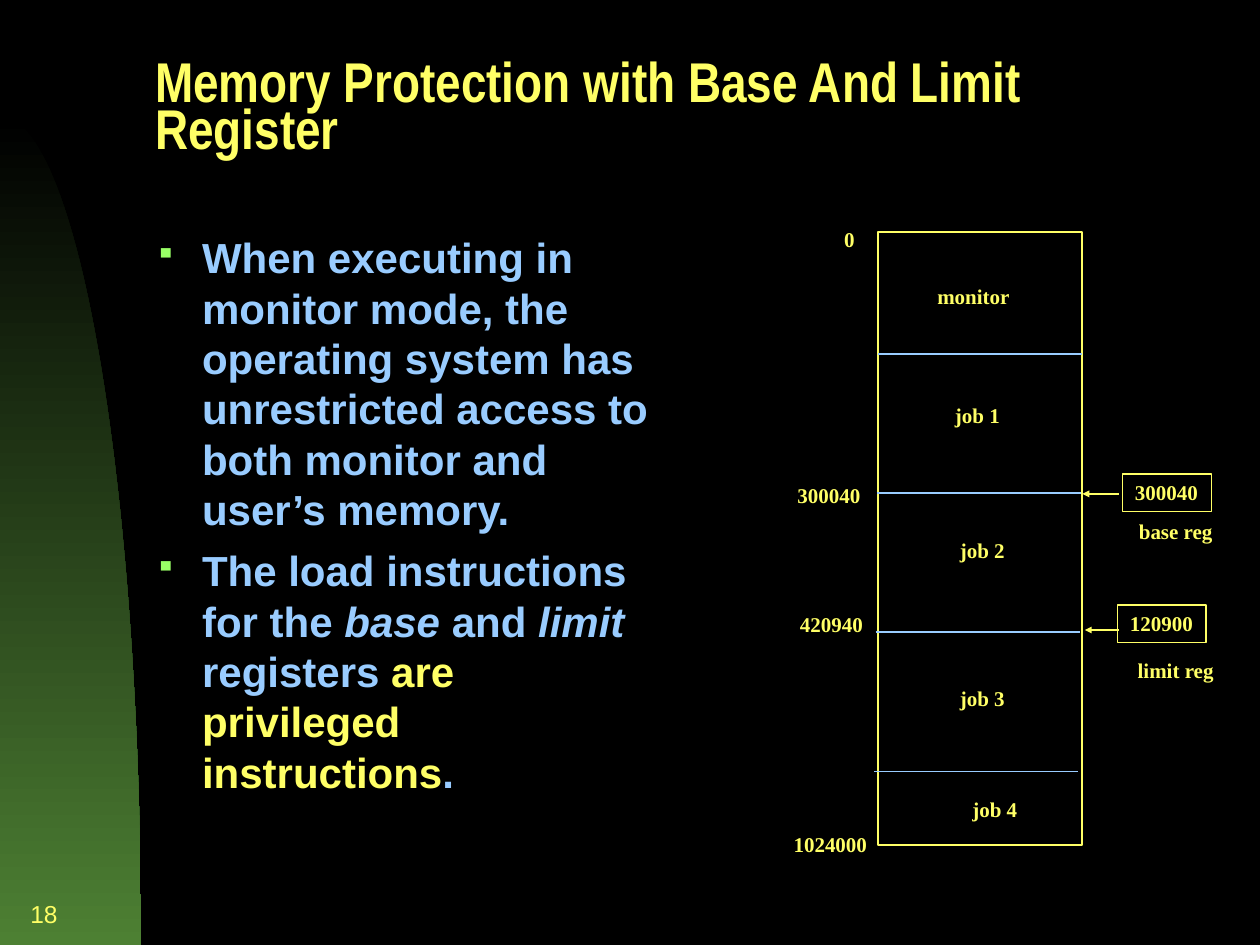
"""Build the slide on memory protection with base and limit registers."""
from dataclasses import dataclass
from math import cos, pi, sin

from lxml.etree import SubElement
from pptx import Presentation
from pptx.dml.color import RGBColor
from pptx.enum.shapes import MSO_CONNECTOR, MSO_SHAPE
from pptx.enum.text import MSO_ANCHOR, MSO_AUTO_SIZE, PP_ALIGN
from pptx.oxml.ns import qn
from pptx.util import Pt


@dataclass(frozen=True)
class Theme:
    """Colours, typefaces and type sizes of the slide."""
    background: str = "000000"
    yellow: str = "FFFF66"
    blue: str = "99CCFF"
    bullet: str = "99FF66"
    sweep_end: str = "4D8033"
    title_face: str = "Arial Narrow"
    body_face: str = "Arial"
    label_face: str = "Times New Roman"
    title_size: int = 32
    body_size: int = 24
    number_size: int = 14
    label_size: int = 12
    line_width: int = 1


THEME = Theme()
LABEL_HEIGHT = 21.6
MEMORY_LEFT, MEMORY_TOP, MEMORY_WIDTH, MEMORY_HEIGHT = 501.8, 132.5, 116.6, 350.6
FIRST_DIVIDER, DIVIDER_STEP, DIVIDER_SHIFT = 202.3, 79.5, -0.72
LABELS = [
    ("monitor", 528.5, 158.4, 62),
    ("job 1", 538.6, 226.4, 46),
    ("job 2", 541.4, 303.8, 46),
    ("job 3", 541.4, 388.1, 46),
    ("job 4", 548.6, 451.4, 46),
    ("0", 475.2, 126, 24),
    ("300040", 448.6, 272.2, 54),
    ("420940", 450, 345.9, 54),
    ("1024000", 446.4, 471.6, 60),
    ("base reg", 643.7, 292.6, 62),
    ("limit reg", 643, 372.2, 62),
]
REGISTERS = [("300040", 641.5, 270.7), ("120900", 638.6, 345.6)]
POINTERS = [(639.4, 618.5, 282.2), (639.4, 619.9, 360)]
BULLETS = [
    [("When executing in monitor mode, the operating system has unrestricted "
      "access to both monitor and user’s memory.", THEME.blue, False)],
    [("The load instructions for the ", THEME.blue, False),
     ("base", THEME.blue, True),
     (" and ", THEME.blue, False),
     ("limit", THEME.blue, True),
     (" registers ", THEME.blue, False),
     ("are privileged instructions", THEME.yellow, False),
     (".", THEME.blue, False)],
]


def rgb(code):
    """Return the colour for a hex code."""
    return RGBColor.from_string(code)


def set_font(paragraph, face, size, color, bold=True):
    """Format all the text of a paragraph."""
    font = paragraph.font
    font.name, font.size, font.bold = face, Pt(size), bold
    font.color.rgb = rgb(color)


def set_line(line, color):
    """Give an outline or connector its colour and width."""
    line.color.rgb = rgb(color)
    line.width = Pt(THEME.line_width)


def add_sweep(slide):
    """Draw the shaded quarter ellipse at the left edge."""
    width, top, bottom, steps = 80.6, 66.2, 540, 60
    angles = [pi / 2 * step / steps for step in range(steps + 1)]
    curve = [(Pt(width * sin(a)), Pt(bottom - (bottom - top) * cos(a))) for a in angles]
    builder = slide.shapes.build_freeform(*curve[0])
    builder.add_line_segments(curve[1:] + [(0, Pt(bottom))], close=True)
    sweep = builder.convert_to_shape()
    sweep.shadow.inherit = False
    sweep.line.fill.background()
    sweep.fill.gradient()
    sweep.fill.gradient_angle = 270
    for stop, color, position in zip(sweep.fill.gradient_stops,
                                     (THEME.background, THEME.sweep_end), (0, 1)):
        stop.color.rgb = rgb(color)
        stop.position = position


def set_title(slide, wording):
    """Place and format the title."""
    title = slide.shapes.title
    title.left, title.top, title.width, title.height = Pt(81.4), Pt(25.9), Pt(620.6), Pt(75.6)
    frame = title.text_frame
    frame.text = wording
    frame.auto_size = MSO_AUTO_SIZE.NONE
    frame.vertical_anchor = MSO_ANCHOR.MIDDLE
    heading = frame.paragraphs[0]
    heading.alignment = PP_ALIGN.LEFT
    heading.line_spacing = 0.7
    set_font(heading, THEME.title_face, THEME.title_size, THEME.yellow)


def add_bullet(paragraph):
    """Give a paragraph its hanging indent and small square bullet."""
    properties = paragraph._p.get_or_add_pPr()
    properties.set("marL", str(Pt(27)))
    properties.set("indent", str(-Pt(27)))
    color = SubElement(properties, qn("a:buClr"))
    SubElement(color, qn("a:srgbClr"), val=THEME.bullet)
    SubElement(properties, qn("a:buSzPct"), val="70000")
    SubElement(properties, qn("a:buChar"), char="▪")


def add_body(slide):
    """Add the bulleted explanation."""
    body = slide.shapes.add_textbox(Pt(81.4), Pt(128.9), Pt(304.6), Pt(351.4))
    frame = body.text_frame
    frame.word_wrap = True
    for index, pieces in enumerate(BULLETS):
        point = frame.add_paragraph() if index else frame.paragraphs[0]
        add_bullet(point)
        point.space_before = Pt(6 if index else 0)
        set_font(point, THEME.body_face, THEME.body_size, THEME.blue)
        for wording, color, italic in pieces:
            piece = point.add_run()
            piece.text = wording
            piece.font.italic = italic
            piece.font.color.rgb = rgb(color)


def write_label(holder, wording):
    """Write one unwrapped diagram label into a shape."""
    frame = holder.text_frame
    frame.text = wording
    frame.word_wrap = False
    frame.auto_size = MSO_AUTO_SIZE.NONE
    frame.vertical_anchor = MSO_ANCHOR.TOP
    label = frame.paragraphs[0]
    label.alignment = PP_ALIGN.LEFT
    set_font(label, THEME.label_face, THEME.label_size, THEME.yellow)


def add_label(slide, wording, left, top, width):
    """Add a free-standing diagram label."""
    write_label(slide.shapes.add_textbox(Pt(left), Pt(top), Pt(width), Pt(LABEL_HEIGHT)), wording)


def add_box(slide, left, top, width, height):
    """Add an outlined box without fill."""
    box = slide.shapes.add_shape(MSO_SHAPE.RECTANGLE, Pt(left), Pt(top), Pt(width), Pt(height))
    box.shadow.inherit = False
    box.fill.background()
    set_line(box.line, THEME.yellow)
    return box


def add_rule(slide, start, end, y, color, arrow=False):
    """Add a horizontal line, with a small arrowhead at its end if asked."""
    rule = slide.shapes.add_connector(MSO_CONNECTOR.STRAIGHT, Pt(start), Pt(y), Pt(end), Pt(y))
    set_line(rule.line, color)
    if arrow:
        SubElement(rule.line._get_or_add_ln(), qn("a:tailEnd"), type="triangle", w="sm", len="sm")
    SubElement(rule._element.spPr, qn("a:effectLst"))


def add_slide_number(slide, number):
    """Add the slide number in the lower left corner."""
    frame = slide.shapes.add_textbox(0, Pt(504), Pt(40), Pt(36)).text_frame
    frame.text = number
    frame.word_wrap = True
    frame.vertical_anchor = MSO_ANCHOR.MIDDLE
    frame.paragraphs[0].alignment = PP_ALIGN.RIGHT
    set_font(frame.paragraphs[0], THEME.body_face, THEME.number_size, THEME.yellow, bold=False)


def main():
    """Compose and save the slide."""
    deck = Presentation()
    deck.slide_width, deck.slide_height = Pt(720), Pt(540)
    slide = deck.slides.add_slide(deck.slide_layouts[5])
    slide.background.fill.solid()
    slide.background.fill.fore_color.rgb = rgb(THEME.background)
    add_sweep(slide)
    set_title(slide, "Memory Protection with Base And Limit Register")
    add_body(slide)
    add_box(slide, MEMORY_LEFT, MEMORY_TOP, MEMORY_WIDTH, MEMORY_HEIGHT)
    for index in range(4):
        left = MEMORY_LEFT + index * DIVIDER_SHIFT
        add_rule(slide, left, left + MEMORY_WIDTH, FIRST_DIVIDER + index * DIVIDER_STEP, THEME.blue)
    for label in LABELS:
        add_label(slide, *label)
    for value, left, top in REGISTERS:
        write_label(add_box(slide, left, top, 50.8, LABEL_HEIGHT), value)
    for start, end, y in POINTERS:
        add_rule(slide, start, end, y, THEME.yellow, arrow=True)
    add_slide_number(slide, "18")
    deck.save("out.pptx")


if __name__ == "__main__":
    main()
